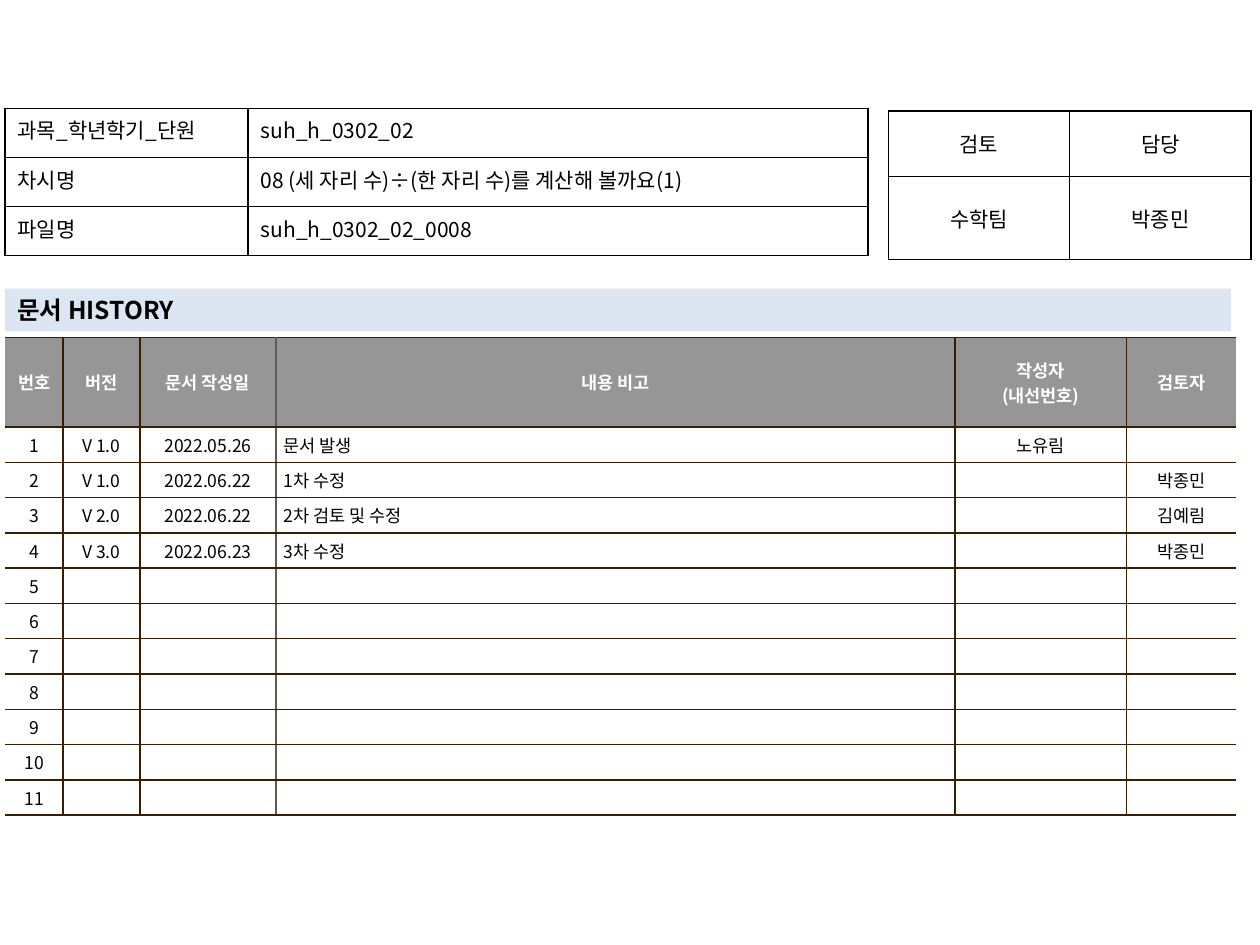
from lxml import etree
from pptx import Presentation
from pptx.dml.color import RGBColor
from pptx.enum.shapes import MSO_SHAPE
from pptx.enum.text import MSO_ANCHOR, MSO_AUTO_SIZE, PP_ALIGN
from pptx.oxml.ns import qn
from pptx.util import Inches, Pt

LEFT, CENTER, JUSTIFY = PP_ALIGN.LEFT, PP_ALIGN.CENTER, PP_ALIGN.JUSTIFY
TOP, MIDDLE = MSO_ANCHOR.TOP, MSO_ANCHOR.MIDDLE
RECTANGLE = MSO_SHAPE.RECTANGLE
FONT = "Noto Sans CJK KR"
COLORS = {
    "black": "000000",
    "white": "FFFFFF",
    "header": "969696",
    "heading": "DCE6F2",
    "grid": "362000",
    "soft_grid": "645B4C",
}
MARGIN = 0.04

INFO = [
    ["과목_학년학기_단원", "suh_h_0302_02"],
    ["차시명", "08 (세 자리 수)÷(한 자리 수)를 계산해 볼까요(1)"],
    ["파일명", "suh_h_0302_02_0008"],
]
REVIEW = [["검토", "담당"], ["수학팀", "박종민"]]
HISTORY_HEADER = ["번호", "버전", "문서 작성일", "내용 비고", "작성자\n(내선번호)", "검토자"]
HISTORY_ENTRIES = [
    ["V 1.0", "2022.05.26", "문서 발생", "노유림", ""],
    ["V 1.0", "2022.06.22", "1차 수정", "", "박종민"],
    ["V 2.0", "2022.06.22", "2차 검토 및 수정", "", "김예림"],
    ["V 3.0", "2022.06.23", "3차 수정", "", "박종민"],
]
HISTORY_ROWS = 11
NOTE_COLUMN = 3


def rgb(name):
    return RGBColor.from_string(COLORS[name])


def write_text(frame, text, size, color="black", bold=False, align=LEFT):
    for index, line in enumerate(text.split("\n")):
        paragraph = frame.paragraphs[0] if index == 0 else frame.add_paragraph()
        paragraph.alignment = align
        if not line:
            # Keeps an empty cell from growing to the default text size.
            end = etree.SubElement(paragraph._p, qn("a:endParaRPr"))
            end.set("sz", str(size * 100))
            continue
        run = paragraph.add_run()
        run.text = line
        font = run.font
        font.name, font.size, font.bold = FONT, Pt(size), bold
        font.color.rgb = rgb(color)
        east_asian = etree.SubElement(run._r.get_or_add_rPr(), qn("a:ea"))
        east_asian.set("typeface", FONT)


def set_borders(cell, left, right, top, bottom):
    """Draw 1 pt borders in the named colours; None leaves a side open."""
    properties = cell._tc.get_or_add_tcPr()
    for tag, color in zip(("lnL", "lnR", "lnT", "lnB"), (left, right, top, bottom)):
        line = etree.SubElement(properties, qn(f"a:{tag}"), w=str(Pt(1)))
        if color is None:
            etree.SubElement(line, qn("a:noFill"))
        else:
            fill = etree.SubElement(line, qn("a:solidFill"))
            etree.SubElement(fill, qn("a:srgbClr"), val=COLORS[color])


def set_margins(cell, horizontal, vertical):
    cell.margin_left = cell.margin_right = Inches(horizontal)
    cell.margin_top = cell.margin_bottom = Inches(vertical)


def add_grid(slide, left, top, widths, heights):
    frame = slide.shapes.add_table(
        len(heights), len(widths), Inches(left), Inches(top),
        Inches(sum(widths)), Inches(sum(heights)))
    table = frame.table
    table.first_row = table.horz_banding = False
    for column, width in zip(table.columns, widths):
        column.width = Inches(width)
    for row, height in zip(table.rows, heights):
        row.height = Inches(height)
    return table


def add_plain_table(slide, left, top, widths, heights, rows, aligns, anchor):
    table = add_grid(slide, left, top, widths, heights)
    for row_index, row in enumerate(rows):
        for column_index, text in enumerate(row):
            cell = table.cell(row_index, column_index)
            set_margins(cell, 0.1, 0.05)
            set_borders(cell, *["black"] * 4)
            cell.fill.background()
            cell.vertical_anchor = anchor
            write_text(cell.text_frame, text, 12, align=aligns[column_index])


def add_history_table(slide):
    widths = [0.46, 0.61, 1.08, 5.39, 1.36, 0.87]
    heights = [0.71] + [0.25] * HISTORY_ROWS
    table = add_grid(slide, MARGIN, 2.68, widths, heights)
    edges = [None] + ["grid"] * (len(widths) - 1) + [None]
    edges[NOTE_COLUMN] = "soft_grid"
    blank = [""] * (len(widths) - 1)
    entries = HISTORY_ENTRIES + [blank] * (HISTORY_ROWS - len(HISTORY_ENTRIES))
    rows = [HISTORY_HEADER] + [[str(n), *entry] for n, entry in enumerate(entries, 1)]
    for row_index, row in enumerate(rows):
        is_header = row_index == 0
        for column, text in enumerate(row):
            cell = table.cell(row_index, column)
            set_margins(cell, 0.06, 0.04)
            set_borders(cell, edges[column], edges[column + 1], "grid", "grid")
            cell.fill.solid()
            cell.fill.fore_color.rgb = rgb("header" if is_header else "white")
            cell.vertical_anchor = MIDDLE
            is_note = column == NOTE_COLUMN and not is_header
            write_text(cell.text_frame, text, 10, "white" if is_header else "black",
                       is_header, LEFT if is_note else CENTER)


def add_heading(slide, text):
    shape = slide.shapes.add_shape(
        RECTANGLE, Inches(MARGIN), Inches(2.29), Inches(9.73), Inches(0.34))
    shape.shadow.inherit = False
    shape.fill.solid()
    shape.fill.fore_color.rgb = rgb("heading")
    shape.line.fill.background()
    frame = shape.text_frame
    frame.word_wrap = True
    frame.auto_size = MSO_AUTO_SIZE.SHAPE_TO_FIT_TEXT
    frame.vertical_anchor = TOP
    write_text(frame, text, 14, bold=True)


def main():
    presentation = Presentation()
    presentation.slide_width, presentation.slide_height = Inches(10), Inches(7.5)
    slide = presentation.slides.add_slide(presentation.slide_layouts[6])
    add_history_table(slide)
    add_plain_table(slide, 7.05, 0.88, [1.44] * 2, [0.52, 0.66],
                    REVIEW, [CENTER] * 2, MIDDLE)
    add_heading(slide, "문서 HISTORY")
    add_plain_table(slide, MARGIN, 0.86, [1.93, 4.92], [0.39] * 3,
                    INFO, [JUSTIFY, LEFT], TOP)
    presentation.save("out.pptx")


if __name__ == "__main__":
    main()
